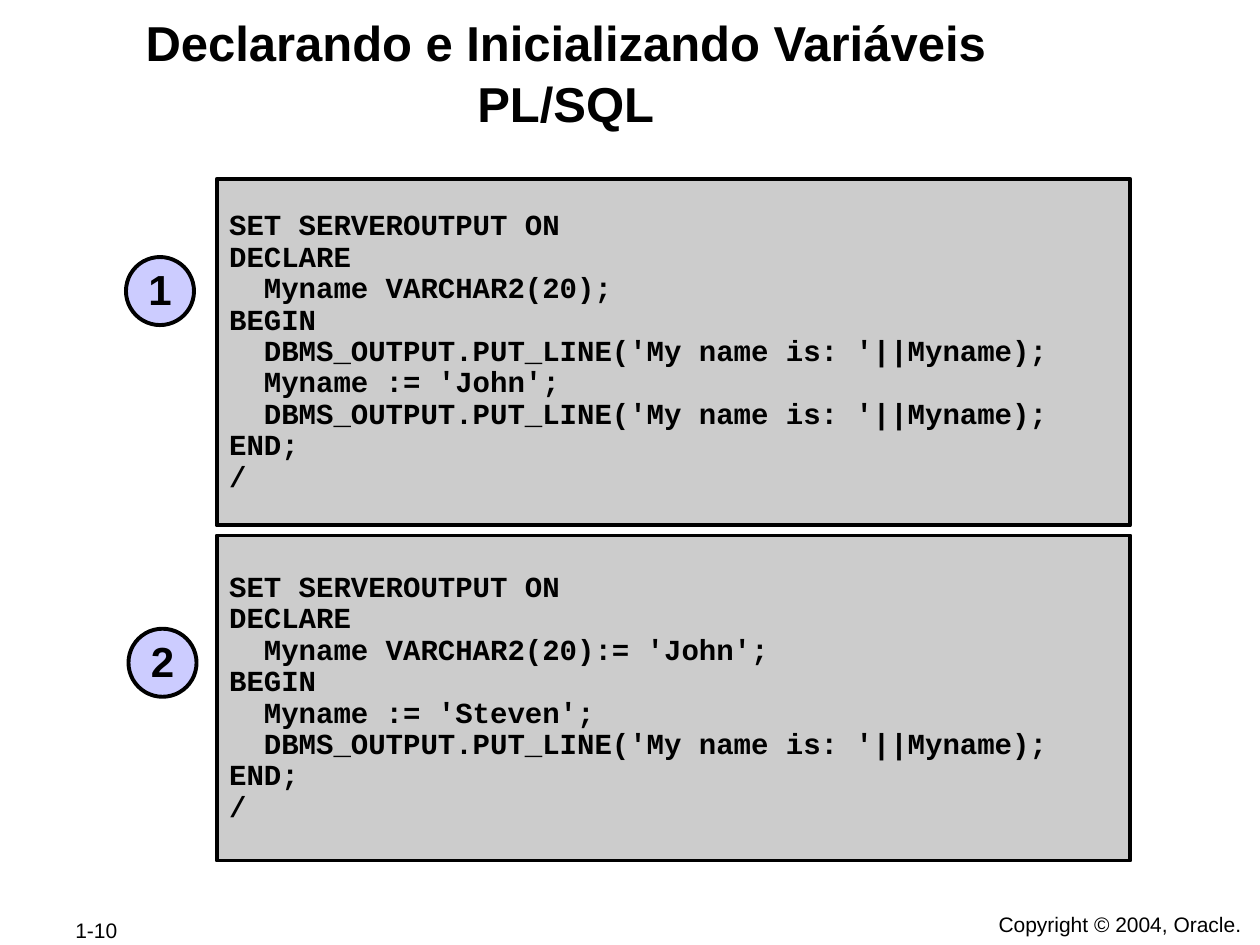
from pptx import Presentation
from pptx.dml.color import RGBColor
from pptx.enum.shapes import MSO_SHAPE
from pptx.enum.text import MSO_ANCHOR, PP_ALIGN
from pptx.util import Inches, Pt

RECTANGLE, OVAL = MSO_SHAPE.RECTANGLE, MSO_SHAPE.OVAL
TOP, MIDDLE = MSO_ANCHOR.TOP, MSO_ANCHOR.MIDDLE
LEFT, CENTER = PP_ALIGN.LEFT, PP_ALIGN.CENTER

# Content
TITLE = "Declarando e Inicializando Variáveis PL/SQL"
PAGE_NUMBER = "1-10"
COPYRIGHT = "Copyright © 2004, Oracle."
FIRST_CODE = """SET SERVEROUTPUT ON
DECLARE
  Myname VARCHAR2(20);
BEGIN
  DBMS_OUTPUT.PUT_LINE('My name is: '||Myname);
  Myname := 'John';
  DBMS_OUTPUT.PUT_LINE('My name is: '||Myname);
END;
/"""
SECOND_CODE = """SET SERVEROUTPUT ON
DECLARE
  Myname VARCHAR2(20):= 'John';
BEGIN
  Myname := 'Steven';
  DBMS_OUTPUT.PUT_LINE('My name is: '||Myname);
END;
/"""
# Code, panel top, panel height, badge left, badge top
EXAMPLES = [
    (FIRST_CODE, 1.42, 2.75, 1.0, 2.04),
    (SECOND_CODE, 4.25, 2.58, 1.02, 4.99),
]

# Formats
COLORS = {"ink": "000000", "panel": "CCCCCC", "badge": "CCCCFF"}
PANEL_LEFT, PANEL_WIDTH, BADGE_SIZE = 1.72, 7.25, 0.54
FONTS = {
    "title": {"name": "Arial", "size": Pt(28), "bold": True},
    "code": {"name": "Courier New", "size": Pt(16.6), "bold": True},
    "badge": {"name": "Arial", "size": Pt(24), "bold": True},
    "footer": {"name": "Arial", "size": Pt(12), "bold": False},
}


def write(box, text, font, align, spacing=1.0, anchor=MIDDLE, wrap=True,
          insets=(0.1, 0.05)):
    """Fill a box with text, one paragraph per line."""
    frame = box.text_frame
    frame.text = text
    across, down = map(Inches, insets)
    settings = {"word_wrap": wrap, "vertical_anchor": anchor,
                "margin_left": across, "margin_right": across,
                "margin_top": down, "margin_bottom": down}
    for name, value in settings.items():
        setattr(frame, name, value)
    for para in frame.paragraphs:
        para.alignment = align
        para.line_spacing = spacing
        for span in para.runs:
            for name, value in FONTS[font].items():
                setattr(span.font, name, value)
            span.font.color.rgb = RGBColor.from_string(COLORS["ink"])


def add_text(page, place, text, font, align, **options):
    box = page.shapes.add_textbox(*map(Inches, place))
    write(box, text, font, align, **options)


def add_outlined(page, kind, place, fill):
    shape = page.shapes.add_shape(kind, *map(Inches, place))
    shape.shadow.inherit = False
    shape.fill.solid()
    shape.fill.fore_color.rgb = RGBColor.from_string(COLORS[fill])
    shape.line.color.rgb = RGBColor.from_string(COLORS["ink"])
    shape.line.width = Pt(2.25)
    return shape


def main():
    deck = Presentation()
    deck.slide_width, deck.slide_height = Inches(10), Inches(7.5)
    page = deck.slides.add_slide(deck.slide_layouts[6])

    # Footer
    add_text(page, (0.5, 7.28, 1.06, 0.2), PAGE_NUMBER, "footer", LEFT, wrap=False)
    add_text(page, (7.66, 7.19, 2.46, 0.28), COPYRIGHT, "footer", CENTER, wrap=False)

    # Title
    add_text(page, (0.59, 0.02, 7.8, 0.65), TITLE, "title", CENTER,
             anchor=TOP, insets=(0.01, 0.06), spacing=1.04)

    # Code panels with their numbered badges
    for number, (code, top, height, badge_left, badge_top) in enumerate(EXAMPLES, 1):
        panel = add_outlined(page, RECTANGLE,
                             (PANEL_LEFT, top, PANEL_WIDTH, height), "panel")
        write(panel, code, "code", LEFT, spacing=0.9, insets=(0.1, 0.01))
        badge = add_outlined(page, OVAL,
                             (badge_left, badge_top, BADGE_SIZE, BADGE_SIZE), "badge")
        write(badge, str(number), "badge", CENTER, spacing=0.95, wrap=False,
              insets=(0.05, 0.05))

    deck.save("out.pptx")


if __name__ == "__main__":
    main()
